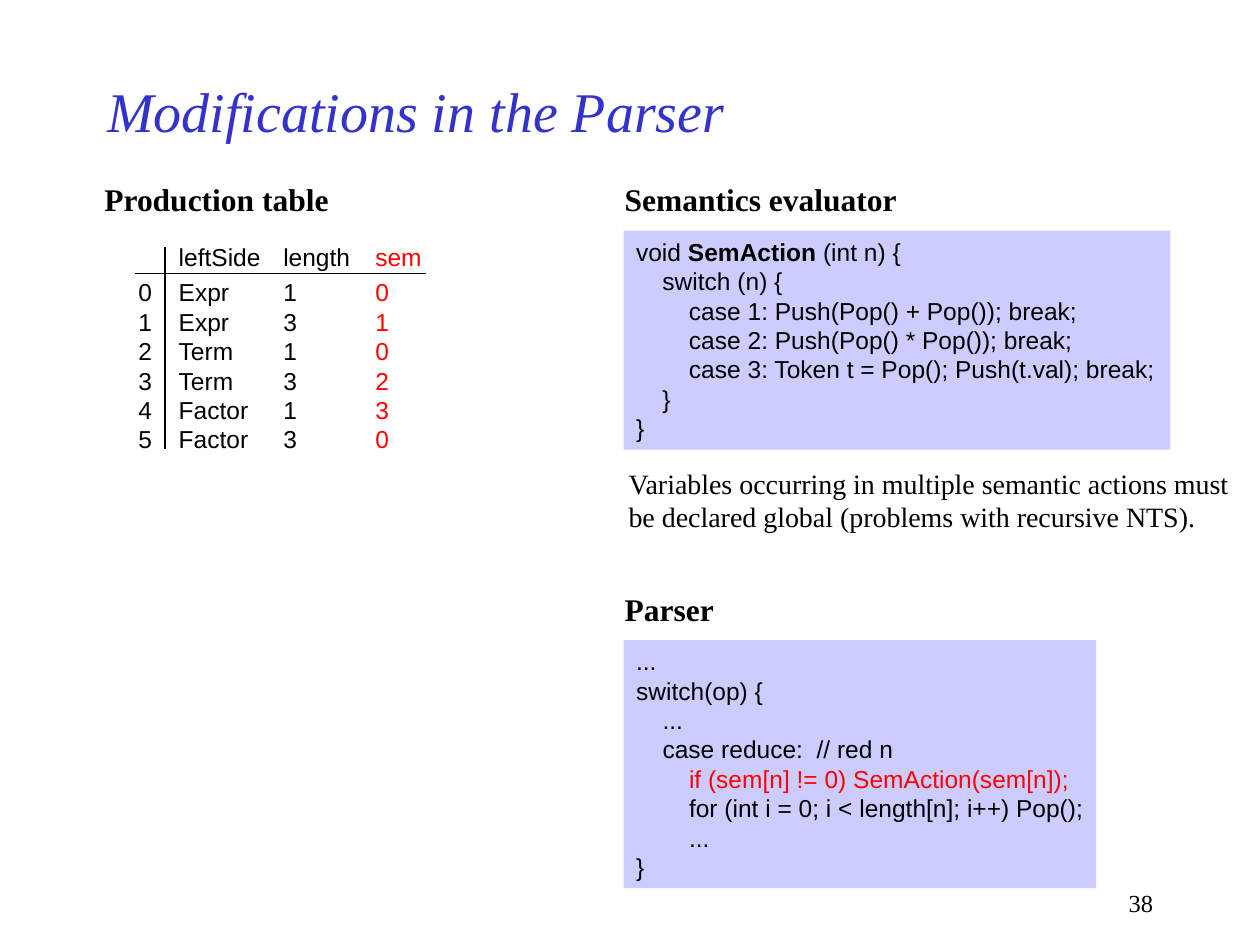
from lxml import etree
from pptx import Presentation
from pptx import util as u
from pptx.dml.color import RGBColor
from pptx.enum import shapes, text
from pptx.oxml import ns

COLORS = {"title": "3333CC", "ink": "000000", "accent": "FF0000", "panel": "CCCCFF"}
CELL = u.Inches(0.1)  # the slide is a grid of 100 columns by 75 rows
COLUMNS, ROWS = 100, 75

TITLE = {"name": "Times New Roman", "size": u.Pt(32), "italic": True, "color": "title"}
HEADING = {"name": "Times New Roman", "size": u.Pt(18), "bold": True}
BODY = {"name": "Times New Roman", "size": u.Pt(16)}
NUMBER = {"name": "Times New Roman", "size": u.Pt(14)}
CODE = {"name": "Arial", "size": u.Pt(14)}
RED = {"color": "accent"}

TABLE_TABS = (3.2, 11.5, 18.8)
CODE_TABS = (2.1, 4.2)

PRODUCTIONS = [
    ("", "leftSide", "length", "sem"),
    ("0", "Expr", "1", "0"),
    ("1", "Expr", "3", "1"),
    ("2", "Term", "1", "0"),
    ("3", "Term", "3", "2"),
    ("4", "Factor", "1", "3"),
    ("5", "Factor", "3", "0"),
]
EVALUATOR = [
    [("void ", {}), ("SemAction", {"bold": True}), (" (int n) {", {})],
    "\tswitch (n) {",
    "\t\tcase 1: Push(Pop() + Pop()); break;",
    "\t\tcase 2: Push(Pop() * Pop()); break;",
    "\t\tcase 3: Token t = Pop(); Push(t.val); break;",
    "\t}",
    "}",
]
PARSER = [
    "...",
    "switch(op) {",
    "\t...",
    "\tcase reduce:  // red n",
    [("\t\tif (sem[n] != 0) SemAction(sem[n]);", RED)],
    "\t\tfor (int i = 0; i < length[n]; i++) Pop();",
    "\t\t...",
    "}",
]
NOTE = [
    "Variables occurring in multiple semantic actions must",
    "be declared global (problems with recursive NTS).",
]


def cells(*counts):
    return [round(count * CELL) for count in counts]


def color(name):
    return RGBColor.from_string(COLORS[name])


def add_tabs(para, stops):
    tab_list = etree.SubElement(para._p.get_or_add_pPr(), ns.qn("a:tabLst"))
    for stop in cells(*stops):
        etree.SubElement(tab_list, ns.qn("a:tab"), pos=str(stop), algn="l")


def format_span(span, style):
    for key, value in style.items():
        if key == "color":
            span.font.color.rgb = color(value)
        else:
            setattr(span.font, key, value)


def write(shape, lines, style, tabs=(), wrap=False):
    """Fill a shape; a line is a string or a list of (text, style) spans."""
    frame = shape.text_frame
    frame.word_wrap = wrap
    frame.vertical_anchor = text.MSO_ANCHOR.TOP
    frame.auto_size = text.MSO_AUTO_SIZE.NONE if wrap else text.MSO_AUTO_SIZE.SHAPE_TO_FIT_TEXT
    for index, line in enumerate(lines):
        para = frame.add_paragraph() if index else frame.paragraphs[0]
        para.alignment = text.PP_ALIGN.LEFT
        if tabs:
            add_tabs(para, tabs)
        for words, extra in [(line, {})] if isinstance(line, str) else line:
            span = para.add_run()
            span.text = words
            format_span(span, {"color": "ink", **style, **extra})
    return frame


def add_text(page, box, lines, style, **options):
    return write(page.shapes.add_textbox(*cells(*box)), lines, style, **options)


def add_rule(page, *ends):
    rule = page.shapes.add_connector(shapes.MSO_CONNECTOR.STRAIGHT, *cells(*ends))
    rule.line.color.rgb = color("ink")
    rule.line.width = u.Pt(0.75)
    etree.SubElement(rule._element.spPr, ns.qn("a:effectLst"))


def add_title(page, box, words):
    title = page.shapes.title
    title.left, title.top, title.width, title.height = cells(*box)
    frame = write(title, [words], TITLE, wrap=True)
    frame.vertical_anchor = text.MSO_ANCHOR.MIDDLE


def add_production_table(page, box):
    left, top, width, height = box
    add_text(page, (left, top, 19.8, 4), ["Production table"], HEADING)
    lines = [[("\t".join(row[:-1]) + "\t", {}), (row[-1], RED)] for row in PRODUCTIONS]
    frame = add_text(page, (left + 2.7, top + 4.9, width, 17.9), lines, CODE,
                     tabs=TABLE_TABS, wrap=True)
    frame.paragraphs[1].space_before = u.Pt(3.5)
    add_rule(page, left + 5.8, top + 5.8, left + 5.8, top + height)
    add_rule(page, left + 3.4, top + 7.9, left + width, top + 7.9)


def add_code_section(page, box, heading, heading_width, lines):
    """Put a heading above a tinted panel that fills the rest of the box."""
    left, top, width, height = box
    add_text(page, (left, top, heading_width, 4), [heading], HEADING)
    panel = page.shapes.add_shape(
        shapes.MSO_SHAPE.RECTANGLE, *cells(left + 0.9, top + 4.5, width - 0.9, height - 4.5))
    panel.shadow.inherit = False
    panel.fill.solid()
    panel.fill.fore_color.rgb = color("panel")
    panel.line.fill.background()
    write(panel, lines, CODE, tabs=CODE_TABS)


def add_page_number(page, box, number):
    frame = add_text(page, box, [number], NUMBER, wrap=True)
    frame.paragraphs[0].alignment = text.PP_ALIGN.RIGHT


def main():
    deck = Presentation()
    deck.slide_width, deck.slide_height = cells(COLUMNS, ROWS)
    page = deck.slides.add_slide(deck.slide_layouts.get_by_name("Title Only"))
    add_title(page, (7.5, 5, 75, 7.5), "Modifications in the Parser")
    add_production_table(page, (7.3, 13.8, 26.5, 21.8))
    add_code_section(page, (48.6, 13.8, 44.3, 21.9), "Semantics evaluator", 23.6, EVALUATOR)
    add_text(page, (48.9, 36.5, 49.9, 6.4), NOTE, BODY)
    add_code_section(page, (48.6, 46.3, 38.4, 24.2), "Parser", 9.1, PARSER)
    add_page_number(page, (71.7, 70, 20.8, 3.3), "38")
    deck.save("out.pptx")


if __name__ == "__main__":
    main()
